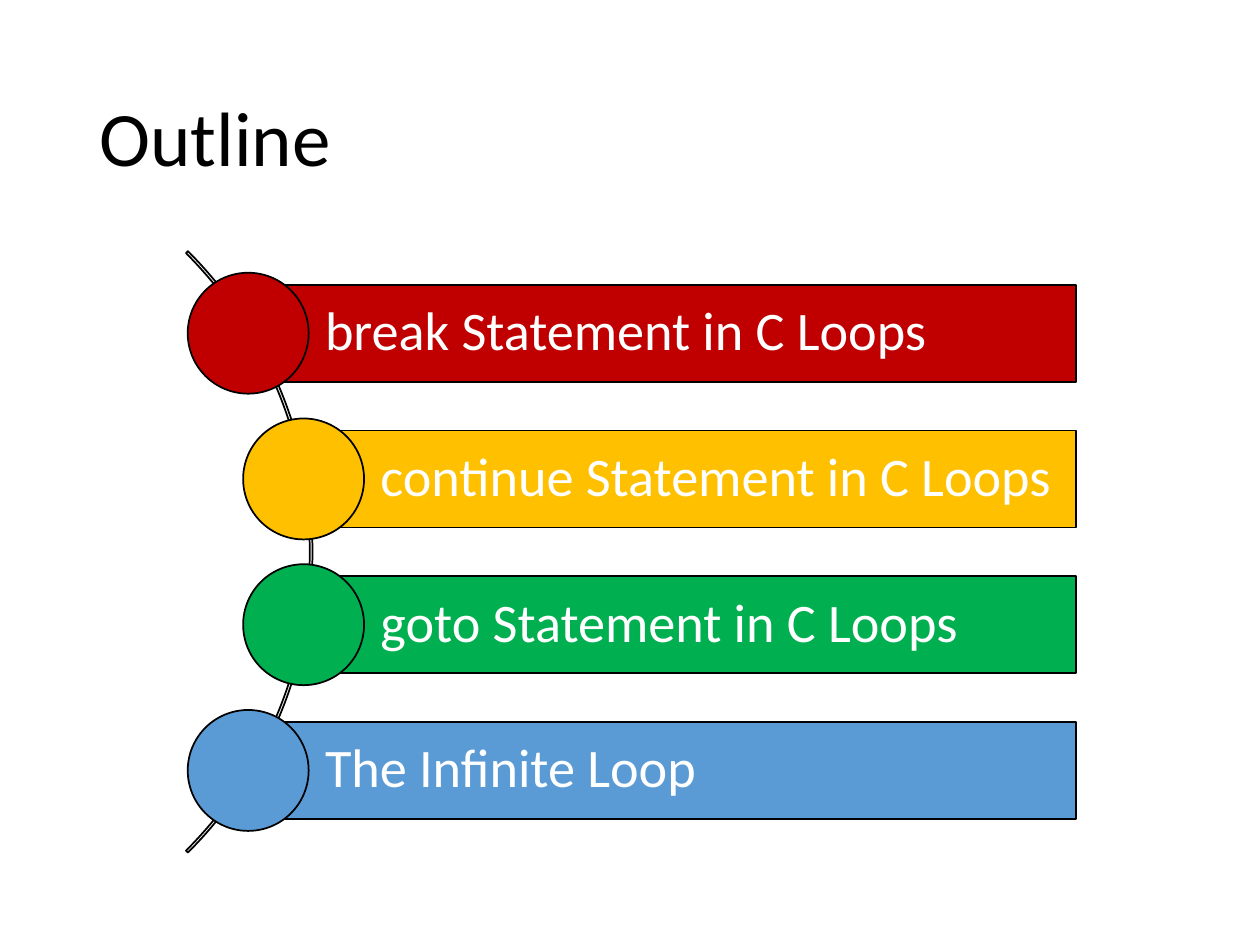
import pptx
import pptx.util
import pptx.dml.color
import pptx.enum.shapes
import pptx.enum.text

Inches, Pt = pptx.util.Inches, pptx.util.Pt
RGBColor = pptx.dml.color.RGBColor
MSO_SHAPE = pptx.enum.shapes.MSO_SHAPE

BLACK = RGBColor(0x00, 0x00, 0x00)
WHITE = RGBColor(0xFF, 0xFF, 0xFF)
RED = RGBColor(0xC0, 0x00, 0x00)
AMBER = RGBColor(0xFF, 0xC0, 0x00)
GREEN = RGBColor(0x00, 0xB0, 0x50)
BLUE = RGBColor(0x5B, 0x9B, 0xD5)

# Topic, colour, indent along the arc in inches
TOPICS = [
    ("break Statement in C Loops", RED, 0),
    ("continue Statement in C Loops", AMBER, 0.44),
    ("goto Statement in C Loops", GREEN, 0.44),
    ("The Infinite Loop", BLUE, 0),
]


def add_outlined(s, kind, left, top, width, height, fill=None):
    sp = s.shapes.add_shape(kind, Inches(left), Inches(top), Inches(width), Inches(height))
    sp.shadow.inherit = False
    if fill is None:
        sp.fill.background()
    else:
        sp.fill.solid()
        sp.fill.fore_color.rgb = fill
    sp.line.color.rgb = BLACK
    sp.line.width = Pt(1)
    return sp


def write_text(sp, text, size, color, left_inset=0.1):
    tf = sp.text_frame
    tf.word_wrap = True
    tf.vertical_anchor = pptx.enum.text.MSO_ANCHOR.MIDDLE
    tf.margin_left = Inches(left_inset)
    p = tf.paragraphs[0]
    p.alignment = pptx.enum.text.PP_ALIGN.LEFT
    p.line_spacing = 0.9
    r = p.add_run()
    r.text = text
    r.font.name = "Calibri"
    r.font.size = Pt(size)
    r.font.color.rgb = color


def add_title(s, left, top, width, height):
    sp = s.shapes.add_textbox(Inches(left), Inches(top), Inches(width), Inches(height))
    write_text(sp, "Outline", 44, BLACK)


def add_curved_list(s, left, top, width, height):
    bar_h, circle_d, arc_d = 0.77, 0.96, 6.75
    pitch = (height - bar_h) / (len(TOPICS) - 1)

    # Thin arc from -45 to 45 degrees, centred on the list
    arc = add_outlined(s, MSO_SHAPE.BLOCK_ARC, left - 6.24,
                       top + (height - arc_d) / 2, arc_d, arc_d)
    for i, value in enumerate((189, 27, 0.0032)):
        arc.adjustments[i] = value

    # Each bar starts at the centre of its circle
    for i, (topic, color, indent) in enumerate(TOPICS):
        x, y = left + indent, top + i * pitch
        bar = add_outlined(s, MSO_SHAPE.RECTANGLE, x, y, width - indent, bar_h, color)
        write_text(bar, topic, 31, WHITE, left_inset=0.61)
        add_outlined(s, MSO_SHAPE.OVAL, x - circle_d / 2,
                     y + (bar_h - circle_d) / 2, circle_d, circle_d, color)


def main():
    prs = pptx.Presentation()
    prs.slide_width, prs.slide_height = Inches(10), Inches(7.5)
    s = prs.slides.add_slide(prs.slide_layouts[6])
    add_title(s, 0.69, 0.4, 8.62, 1.45)
    add_curved_list(s, 1.97, 2.26, 6.57, 4.24)
    prs.save("out.pptx")


if __name__ == "__main__":
    main()
